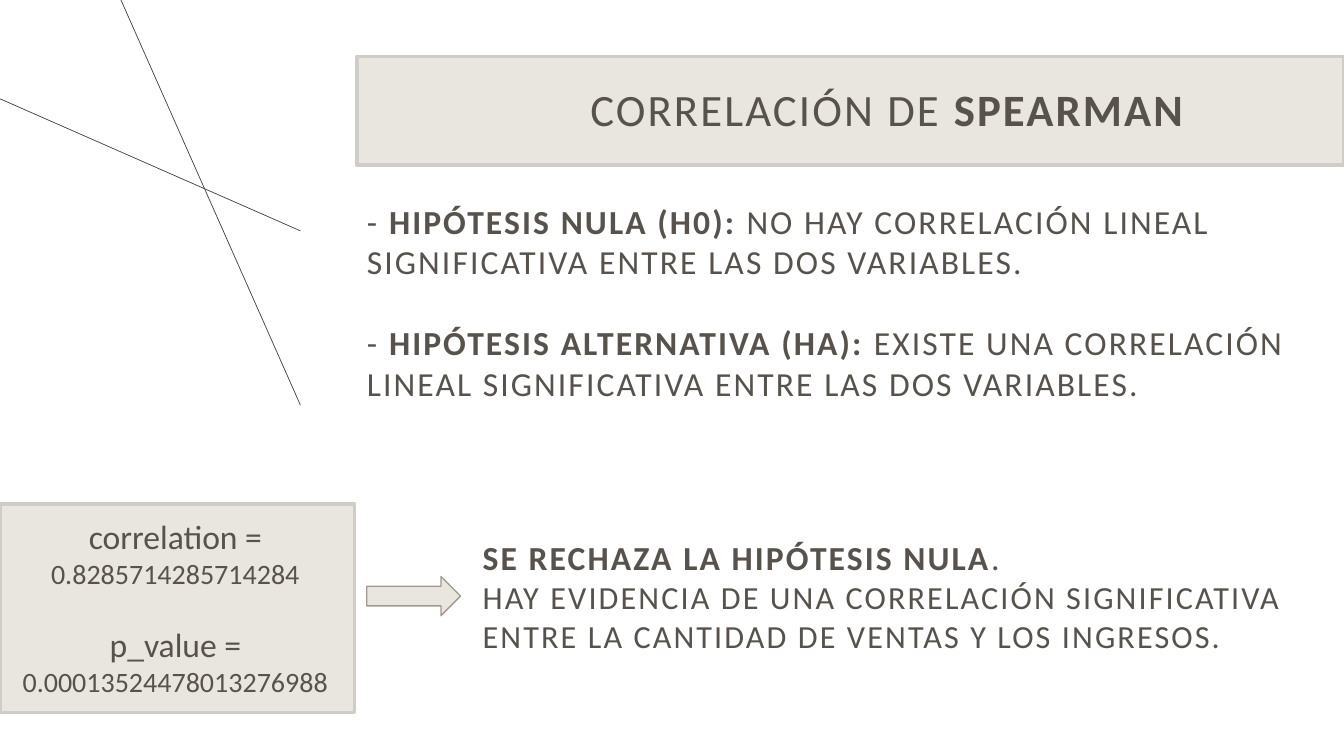
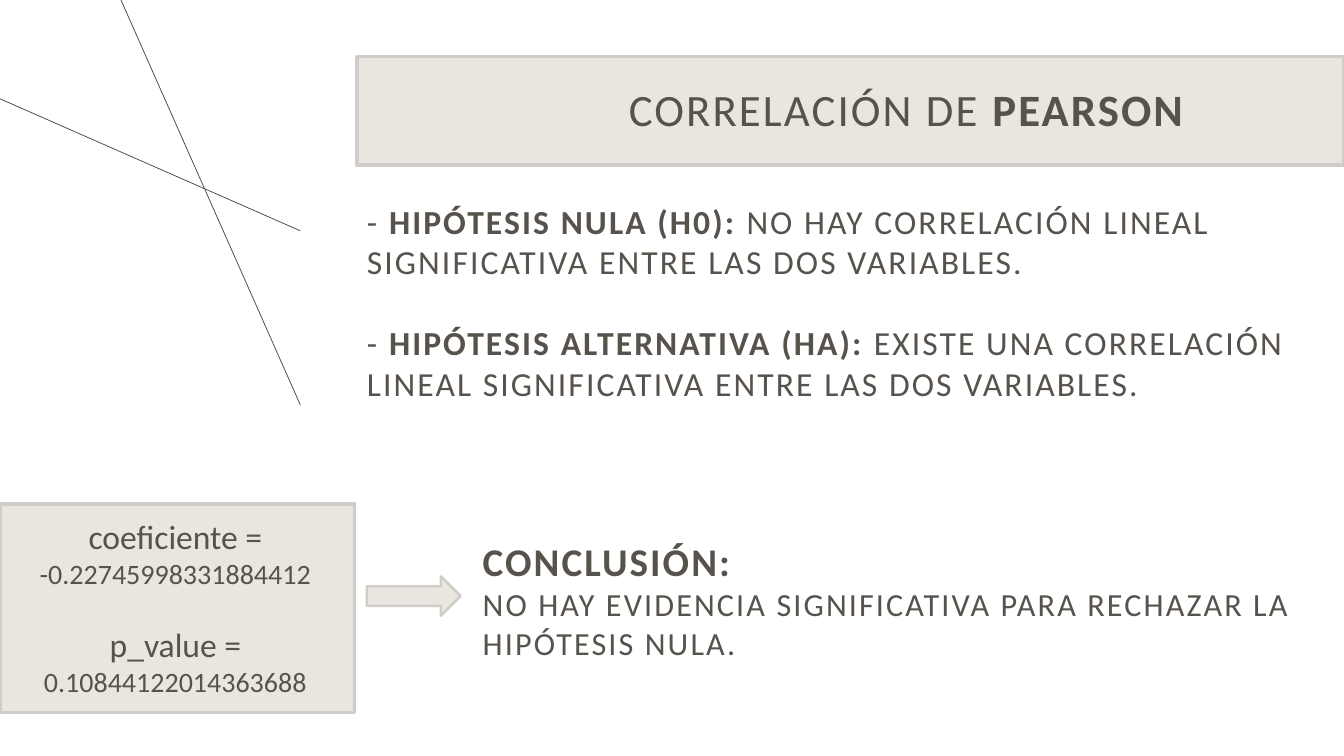
"""Build two slides on the Spearman and Pearson correlation tests."""
from dataclasses import dataclass
from typing import NamedTuple

import lxml.etree
import pptx
import pptx.dml.color
import pptx.enum.shapes
import pptx.enum.text
import pptx.oxml.ns
import pptx.shapes.autoshape
import pptx.slide
import pptx.text.text
import pptx.util

Pt = pptx.util.Pt
Align = pptx.enum.text.PP_ALIGN
Anchor = pptx.enum.text.MSO_ANCHOR
AutoSize = pptx.enum.text.MSO_AUTO_SIZE
ShapeType = pptx.enum.shapes.MSO_SHAPE


@dataclass(frozen=True)
class Theme:
    font: str = "Calibri"
    text: str = "57524C"
    fill: str = "E9E6DF"
    border: str = "D0CCC8"
    arrow_border: str = "A19991"
    ray: str = "404040"
    title: float = 32
    heading: float = 28
    body: float = 24
    detail: float = 23
    number: float = 20
    tracking: float = 1.5
    line_height: float = 1.22


class Box(NamedTuple):
    left: float
    top: float
    width: float
    height: float


class Ray(NamedTuple):
    x1: float
    y1: float
    x2: float
    y2: float


class Outline(NamedTuple):
    color: str
    width: float


class Run(NamedTuple):
    text: str
    size: float
    bold: bool = False


class Para(NamedTuple):
    runs: tuple[Run, ...]
    before: float = 0


@dataclass(frozen=True)
class Test:
    name: str
    coefficient: str
    value: str
    p_value: str
    conclusion: tuple[Para, ...]
    stats_line: Outline
    arrow_line: Outline


THEME = Theme()

BAND = Box(255, 40.3, 705, 77.8)
TITLE = Box(320.4, 18, 532, 82.8)
HYPOTHESES = Box(255, 139.7, 705, 203.8)
STATS = Box(0, 360, 253.4, 149)
STATS_TEXT = Box(0, 365, 250.6, 138.2)
ARROW = Box(262, 411.8, 67, 28)
CONCLUSION = Box(337.7, 380.2, 622.3, 95)
RAYS = (Ray(86.4, 0, 214.6, 289.4), Ray(0, 70.6, 214.6, 164.9))

HYPOTHESIS_TEXTS = (
    ("HIPÓTESIS NULA (H0): ",
     "NO HAY CORRELACIÓN LINEAL SIGNIFICATIVA ENTRE LAS DOS VARIABLES."),
    ("HIPÓTESIS ALTERNATIVA (HA): ",
     "EXISTE UNA CORRELACIÓN LINEAL SIGNIFICATIVA ENTRE LAS DOS VARIABLES."),
)

TESTS = (
    Test(
        "SPEARMAN", "correlation", "0.8285714285714284", "0.00013524478013276988",
        (Para((Run("SE RECHAZA LA HIPÓTESIS NULA", THEME.body, True),
               Run(".", THEME.body))),
         Para((Run("HAY EVIDENCIA DE UNA CORRELACIÓN SIGNIFICATIVA ENTRE LA "
                   "CANTIDAD DE VENTAS Y LOS INGRESOS.", THEME.detail),))),
        Outline(THEME.border, 2.25), Outline(THEME.arrow_border, 1),
    ),
    Test(
        "PEARSON", "coeficiente", "-0.22745998331884412", "0.10844122014363688",
        (Para((Run("CONCLUSIÓN:", THEME.heading, True),)),
         Para((Run("NO HAY EVIDENCIA SIGNIFICATIVA PARA RECHAZAR LA "
                   "HIPÓTESIS NULA.", THEME.detail),))),
        Outline(THEME.border, 2.5), Outline(THEME.border, 1.75),
    ),
)


def rgb(color: str) -> pptx.dml.color.RGBColor:
    return pptx.dml.color.RGBColor.from_string(color)


def points(box: Box) -> list[pptx.util.Length]:
    return [Pt(v) for v in box]


def add_run(p: pptx.text.text._Paragraph, text: str, *, size: float,
            bold: bool = False, tracking: float = 0) -> None:
    r = p.add_run()
    r.text = text
    r.font.name = THEME.font
    r.font.size = Pt(size)
    r.font.bold = bold
    r.font.color.rgb = rgb(THEME.text)
    if tracking:
        r._r.get_or_add_rPr().set("spc", str(round(tracking * 100)))


def fill_text(tf: pptx.text.text.TextFrame, paras: tuple[Para, ...], *,
              align: Align = Align.LEFT, tracking: float = THEME.tracking) -> None:
    tf.word_wrap = True
    for i, para in enumerate(paras):
        p = tf.add_paragraph() if i else tf.paragraphs[0]
        p.alignment = align
        p.space_before = Pt(para.before)
        for run in para.runs:
            add_run(p, run.text, size=run.size, bold=run.bold, tracking=tracking)


def add_text(s: pptx.slide.Slide, box: Box, paras: tuple[Para, ...], *,
             align: Align = Align.LEFT, tracking: float = THEME.tracking) -> None:
    tf = s.shapes.add_textbox(*points(box)).text_frame
    fill_text(tf, paras, align=align, tracking=tracking)
    tf.auto_size = AutoSize.SHAPE_TO_FIT_TEXT


def add_panel(s: pptx.slide.Slide, box: Box, line: Outline,
              kind: ShapeType = ShapeType.RECTANGLE) -> pptx.shapes.autoshape.Shape:
    sp = s.shapes.add_shape(kind, *points(box))
    sp.shadow.inherit = False
    sp.fill.solid()
    sp.fill.fore_color.rgb = rgb(THEME.fill)
    sp.line.color.rgb = rgb(line.color)
    sp.line.width = Pt(line.width)
    return sp


def add_rays(s: pptx.slide.Slide) -> None:
    group = s.shapes.add_group_shape()
    for ray in RAYS:
        sp = group.shapes.add_connector(
            pptx.enum.shapes.MSO_CONNECTOR.STRAIGHT, *(Pt(v) for v in ray))
        sp.line.color.rgb = rgb(THEME.ray)
        sp.line.width = Pt(0.5)
        lxml.etree.SubElement(sp.element.spPr, pptx.oxml.ns.qn("a:effectLst"))


def add_title(s: pptx.slide.Slide, name: str) -> None:
    sp = s.shapes.title
    sp.left, sp.top, sp.width, sp.height = points(TITLE)
    band = add_panel(s, BAND, Outline(THEME.border, 2.75))
    sp.element.addprevious(band.element)
    tf = sp.text_frame
    tf.auto_size = AutoSize.NONE
    tf.vertical_anchor = Anchor.BOTTOM
    fill_text(tf, (Para((Run("CORRELACIÓN DE ", THEME.title),
                         Run(name, THEME.title, True))),), align=Align.RIGHT)
    tf.paragraphs[0].line_spacing = 0.9


def hypothesis_paras() -> tuple[Para, ...]:
    gap = round(THEME.body * THEME.line_height, 1)
    return tuple(
        Para((Run("- ", THEME.body), Run(label, THEME.body, True),
              Run(text, THEME.body)), gap if i else 0)
        for i, (label, text) in enumerate(HYPOTHESIS_TEXTS))


def stats_paras(test: Test) -> tuple[Para, ...]:
    gap = round(THEME.number * THEME.line_height, 1)
    return (
        Para((Run(f"{test.coefficient} =", THEME.body),)),
        Para((Run(test.value, THEME.number),)),
        Para((Run("p_value =", THEME.body),), gap),
        Para((Run(test.p_value, THEME.number),)),
    )


def add_test_slide(prs: pptx.presentation.Presentation, test: Test) -> None:
    s = prs.slides.add_slide(prs.slide_layouts[5])
    add_title(s, test.name)
    add_text(s, HYPOTHESES, hypothesis_paras())
    add_rays(s)
    add_panel(s, STATS, test.stats_line)
    add_text(s, STATS_TEXT, stats_paras(test), align=Align.CENTER, tracking=0)
    add_text(s, CONCLUSION, test.conclusion)
    add_panel(s, ARROW, test.arrow_line, ShapeType.RIGHT_ARROW)


def main() -> None:
    prs = pptx.Presentation()
    prs.slide_width, prs.slide_height = Pt(960), Pt(540)
    for test in TESTS:
        add_test_slide(prs, test)
    prs.save("out.pptx")


if __name__ == "__main__":
    main()
